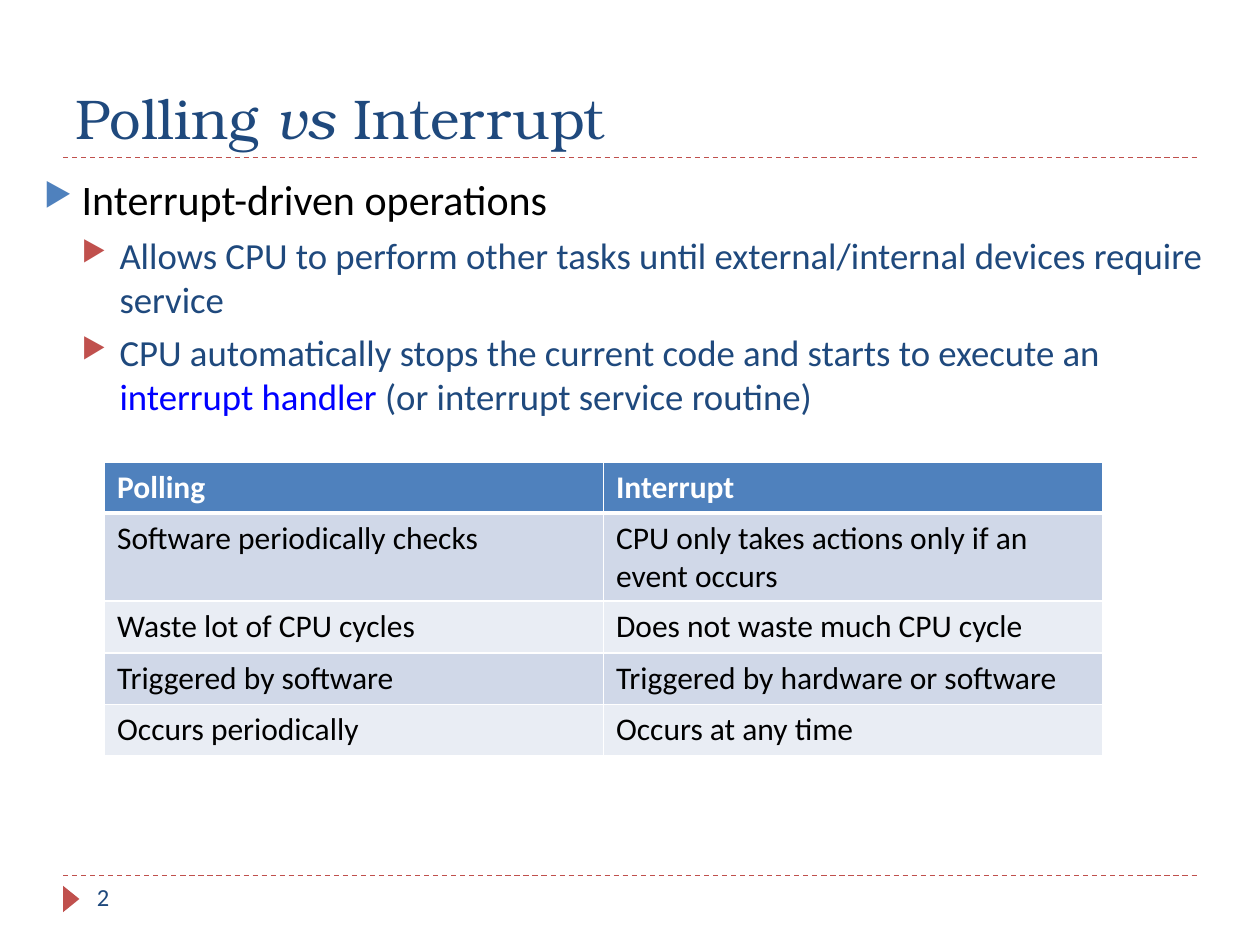
"""Builds a slide that compares polling with interrupt-driven operation."""
import pptx
import pptx.dml.color
import pptx.enum.dml
import pptx.enum.shapes
import pptx.enum.text
import pptx.oxml
import pptx.oxml.ns
import pptx.util
from pptx.util import Inches, Pt

NAVY, BLUE, RED = "1F497D", "4F81BD", "C0504D"
BLACK, WHITE, LINK = "000000", "FFFFFF", "0000FF"
BANDS = ["D0D8E8", "E9EDF4"]
BODY_FONT, TITLE_FONT = "Calibri", "TeX Gyre Bonum"

TITLE = [("Polling ", False), ("vs", True), (" Interrupt", False)]
BULLETS = [
    (0, [("Interrupt-driven operations", BLACK)]),
    (1, [("Allows CPU to perform other tasks until external/internal devices require service", NAVY)]),
    (1, [("CPU automatically stops the current code and starts to execute an ", NAVY),
         ("interrupt handler ", LINK),
         ("(or interrupt service routine)", NAVY)]),
]
LEVELS = [
    {"size": 24, "bullet": BLUE, "before": 0},
    {"size": 21, "bullet": RED, "before": 5},
]
ROWS = [
    ("Polling", "Interrupt"),
    ("Software periodically checks", "CPU only takes actions only if an event occurs"),
    ("Waste lot of CPU cycles", "Does not waste much CPU cycle"),
    ("Triggered by software", "Triggered by hardware or software"),
    ("Occurs periodically", "Occurs at any time"),
]
ROW_HEIGHTS = [0.4, 0.7, 0.41, 0.41, 0.41]
RULE_HEIGHTS = [1.25, 6.95]
PAGE_NUMBER = "2"


def color(value):
    return pptx.dml.color.RGBColor.from_string(value)


def add_xml(parent, xml):
    namespace = pptx.oxml.ns.nsdecls("a")
    parent.append(pptx.oxml.parse_xml(xml.replace(">", f" {namespace}>", 1)
                                      if "/>" not in xml.split(">")[0] + ">"
                                      else xml.replace("/>", f" {namespace}/>", 1)))


def set_font(font, size, value, name=BODY_FONT, bold=False):
    font.size, font.name, font.bold = Pt(size), name, bold
    font.color.rgb = color(value)


def add_text_box(slide, left, top, width, height):
    box = slide.shapes.add_textbox(Inches(left), Inches(top), Inches(width), Inches(height))
    box.text_frame.word_wrap = True
    return box.text_frame


def add_rule(slide, top):
    rule = slide.shapes.add_connector(pptx.enum.shapes.MSO_CONNECTOR.STRAIGHT,
                                      Inches(0.5), Inches(top), Inches(9.5), Inches(top))
    rule.line.color.rgb = color(RED)
    rule.line.width = Pt(0.75)
    rule.line.dash_style = pptx.enum.dml.MSO_LINE.DASH
    add_xml(rule._element.spPr, "<a:effectLst/>")


def add_page_marker(slide):
    marker = slide.shapes.add_shape(pptx.enum.shapes.MSO_SHAPE.ISOSCELES_TRIANGLE,
                                    Inches(0.46), Inches(7.07), Inches(0.21), Inches(0.13))
    marker.rotation = 90
    marker.shadow.inherit = False
    marker.fill.solid()
    marker.fill.fore_color.rgb = color(RED)
    marker.line.fill.background()
    paragraph = add_text_box(slide, 0.67, 6.95, 2.17, 0.4).paragraphs[0]
    paragraph.text = PAGE_NUMBER
    set_font(paragraph.font, 14, NAVY)


def fill_title(title):
    title.left, title.top, title.width, title.height = map(Inches, (0.5, 0.17, 9, 1.08))
    title.text_frame.vertical_anchor = pptx.enum.text.MSO_ANCHOR.BOTTOM
    paragraph = title.text_frame.paragraphs[0]
    paragraph.alignment = pptx.enum.text.PP_ALIGN.LEFT
    for text, italic in TITLE:
        run = paragraph.add_run()
        run.text = text
        run.font.italic = italic
    set_font(paragraph.font, 32, NAVY, TITLE_FONT)


def add_bullets(slide):
    frame = add_text_box(slide, 0.25, 1.33, 9.42, 5.4)
    for index, (level, runs) in enumerate(BULLETS):
        paragraph = frame.add_paragraph() if index else frame.paragraphs[0]
        style = LEVELS[level]
        paragraph.level = level
        paragraph.space_before = Pt(style["before"])
        properties = paragraph._p.get_or_add_pPr()
        properties.set("marL", str(Inches(0.3 * (level + 1))))
        properties.set("indent", str(Inches(-0.3)))
        add_xml(properties, f'<a:buClr><a:srgbClr val="{style["bullet"]}"/></a:buClr>')
        add_xml(properties, '<a:buSzPct val="76000"/>')
        add_xml(properties, '<a:buChar char="▶"/>')
        paragraph.font.size, paragraph.font.name = Pt(style["size"]), BODY_FONT
        for text, value in runs:
            run = paragraph.add_run()
            run.text = text
            run.font.color.rgb = color(value)


def set_borders(cell, top, bottom):
    properties = cell._tc.get_or_add_tcPr()
    for side, width in (("L", 1), ("R", 1), ("T", top), ("B", bottom)):
        add_xml(properties, f'<a:ln{side} w="{Pt(width)}"><a:solidFill>'
                            f'<a:srgbClr val="{WHITE}"/></a:solidFill></a:ln{side}>')


def add_comparison(slide):
    table = slide.shapes.add_table(len(ROWS), 2, Inches(0.83), Inches(3.67),
                                   Inches(7.92), Inches(sum(ROW_HEIGHTS))).table
    for row, (texts, height) in enumerate(zip(ROWS, ROW_HEIGHTS)):
        table.rows[row].height = Inches(height)
        header = row == 0
        for column, text in enumerate(texts):
            cell = table.cell(row, column)
            set_borders(cell, 3 if row == 1 else 1, 3 if header else 1)
            cell.fill.solid()
            cell.fill.fore_color.rgb = color(BLUE if header else BANDS[(row - 1) % 2])
            paragraph = cell.text_frame.paragraphs[0]
            paragraph.text = text
            set_font(paragraph.font, 18, WHITE if header else BLACK, bold=header)


def main():
    presentation = pptx.Presentation()
    presentation.slide_width, presentation.slide_height = Inches(10), Inches(7.5)
    slide = presentation.slides.add_slide(presentation.slide_layouts[5])
    for top in RULE_HEIGHTS:
        add_rule(slide, top)
    fill_title(slide.shapes.title)
    add_page_marker(slide)
    add_comparison(slide)
    add_bullets(slide)
    presentation.save("out.pptx")


if __name__ == "__main__":
    main()
